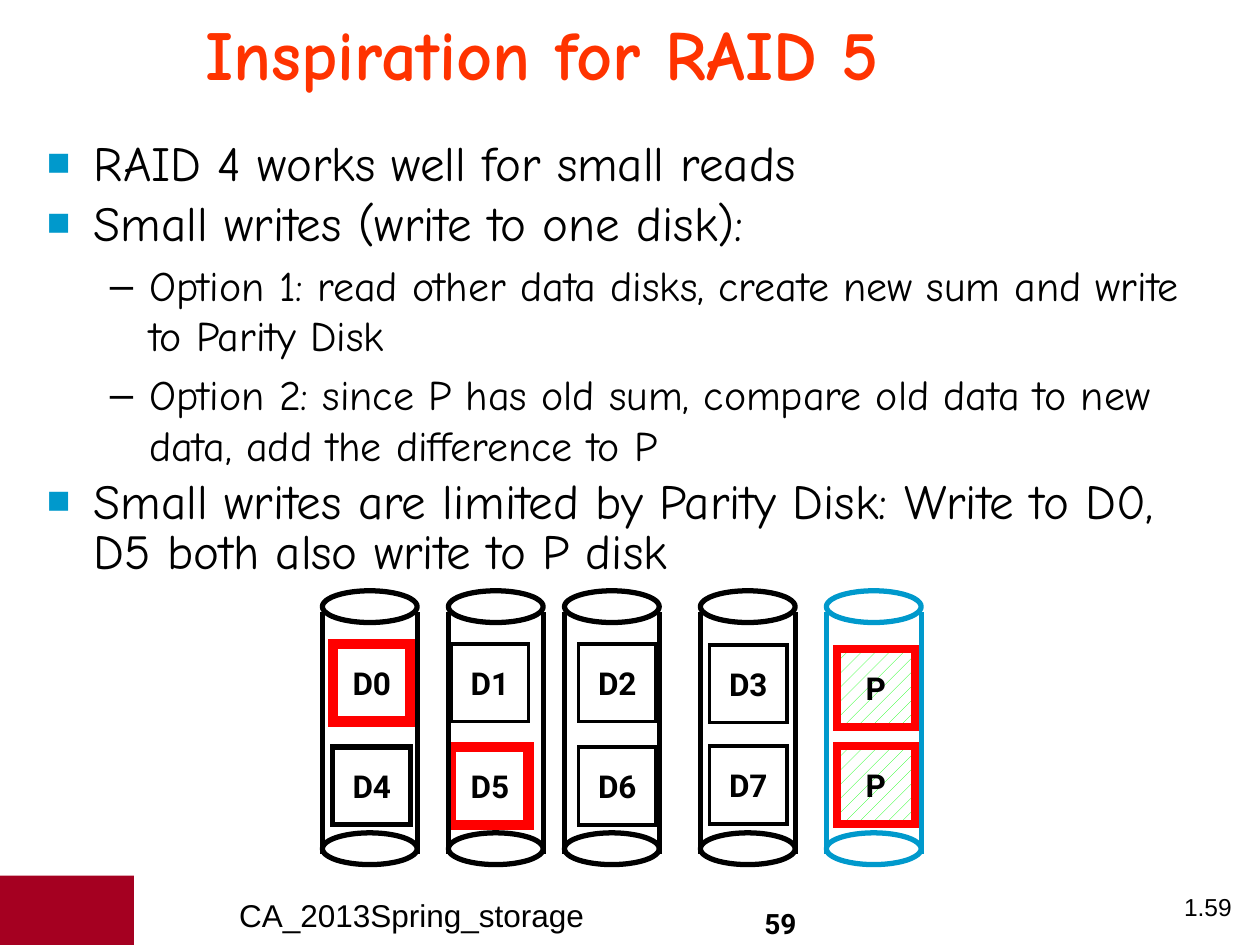
from lxml import etree
from pptx import Presentation
from pptx.dml.color import RGBColor
from pptx.enum.dml import MSO_PATTERN
from pptx.enum.shapes import MSO_CONNECTOR, MSO_SHAPE
from pptx.enum.text import MSO_ANCHOR, MSO_AUTO_SIZE, PP_ALIGN
from pptx.oxml.ns import qn
from pptx.util import Cm, Pt

RECT, OVAL = MSO_SHAPE.RECTANGLE, MSO_SHAPE.OVAL
STRAIGHT = MSO_CONNECTOR.STRAIGHT
LEFT, CENTER = PP_ALIGN.LEFT, PP_ALIGN.CENTER
TOP, MIDDLE = MSO_ANCHOR.TOP, MSO_ANCHOR.MIDDLE

COLORS = {"black": "000000", "white": "FFFFFF", "title": "FF3300",
          "accent": "0099CC", "red": "FF0000", "green": "00FF00",
          "maroon": "A50021"}


def rgb(name):
    return RGBColor.from_string(COLORS[name])


def add_text(tf, text, size=18, font="Roboto", color="black", bold=False,
             align=LEFT, anchor=TOP, wrap=True, new=False):
    tf.word_wrap = wrap
    tf.auto_size = MSO_AUTO_SIZE.NONE
    tf.vertical_anchor = anchor
    p = tf.add_paragraph() if new else tf.paragraphs[0]
    p.alignment = align
    r = p.add_run()
    r.text = text
    r.font.size, r.font.name, r.font.bold = Pt(size), font, bold
    r.font.color.rgb = rgb(color)
    return p


prs = Presentation()
prs.slide_width, prs.slide_height = Cm(25.4), Cm(19.05)
slide = prs.slides.add_slide(prs.slide_layouts[1])
shapes = slide.shapes

# Footer: corner block, course name, page numbers
sp = shapes.add_shape(RECT, 0, Cm(17.65), Cm(2.7), Cm(1.4))
sp.shadow.inherit = False
sp.fill.solid()
sp.fill.fore_color.rgb = rgb("maroon")
sp.line.fill.background()

FOOTER = [
    ("CA_2013Spring_storage", 4.57, 17.93, 9.93, 1.12, dict(font="Arial")),
    ("59", 15.14, 18.16, 1.19, 0.94,
     dict(size=16, bold=True, align=CENTER, wrap=False)),
    ("1.59", 23.62, 17.86, 1.78, 0.99, dict(size=14, font="Arial")),
]
for text, x, y, w, h, fmt in FOOTER:
    sp = shapes.add_textbox(Cm(x), Cm(y), Cm(w), Cm(h))
    add_text(sp.text_frame, text, **fmt)

# Title
title = shapes.title
title.left, title.top, title.width, title.height = Cm(3.89), 0, Cm(20.6), Cm(2.13)
add_text(title.text_frame, "Inspiration for RAID 5", size=40,
         font="Comic Neue", color="title", bold=True, anchor=MIDDLE)

# Bulleted list
body = slide.placeholders[1]
body.left, body.top, body.width, body.height = Cm(0.69), Cm(2.72), Cm(23.57), Cm(9.53)
BULLETS = [
    (0, "RAID 4 works well for small reads"),
    (0, "Small writes (write to one disk):"),
    (1, "Option 1: read other data disks, create new sum and write to Parity Disk"),
    (1, "Option 2: since P has old sum, compare old data to new data, "
        "add the difference to P"),
    (0, "Small writes are limited by Parity Disk: Write to D0, "
        "D5 both also write to P disk"),
]
# Per level: size, line spacing, left margin, hanging indent, bullet
LEVELS = [(28, 0.85, 0.95, 0.95, "■"), (24, 1.0, 2.06, 0.79, "–")]
for i, (level, text) in enumerate(BULLETS):
    size, spacing, margin, hang, char = LEVELS[level]
    p = add_text(body.text_frame, text, size=size, font="Comic Neue", new=i > 0)
    p.level = level
    p.line_spacing = spacing
    p.space_before = Pt(size * 0.2)
    pPr = p._p.get_or_add_pPr()
    pPr.set("marL", str(Cm(margin)))
    pPr.set("indent", str(-Cm(hang)))
    if level == 0:
        clr = etree.SubElement(pPr, qn("a:buClr"))
        etree.SubElement(clr, qn("a:srgbClr"), val=COLORS["accent"])
        etree.SubElement(pPr, qn("a:buSzPct"), val="80000")
    etree.SubElement(pPr, qn("a:buFont"), typeface="Arial")
    etree.SubElement(pPr, qn("a:buChar"), char=char)

# Data blocks: label, left, top, line colour, line width
BLOCK = 1.57
BLOCKS = [
    ("D0", 6.71, 12.98, "red", 6), ("D1", 9.09, 12.98, "black", 2),
    ("D2", 11.66, 12.98, "black", 2), ("D3", 14.3, 13.0, "black", 2),
    ("P", 16.87, 13.08, "red", 4.5),
    ("D4", 6.71, 15.06, "black", 3), ("D5", 9.09, 15.06, "red", 6),
    ("D6", 11.66, 15.06, "black", 2), ("D7", 14.3, 15.04, "black", 2),
    ("P", 16.87, 15.04, "red", 4.5),
]
for label, x, y, color, width in BLOCKS:
    sp = shapes.add_shape(RECT, Cm(x), Cm(y), Cm(BLOCK), Cm(BLOCK))
    sp.shadow.inherit = False
    if label == "P":
        sp.fill.patterned()
        sp.fill.pattern = MSO_PATTERN.PERCENT_10
        sp.fill.fore_color.rgb = rgb("green")
        sp.fill.back_color.rgb = rgb("white")
    else:
        sp.fill.background()
    sp.line.color.rgb = rgb(color)
    sp.line.width = Pt(width)
    ln = sp._element.spPr.find(qn("a:ln"))
    etree.SubElement(ln, qn("a:miter"), lim="800000")
    add_text(sp.text_frame, label, bold=True, align=CENTER, anchor=MIDDLE,
             wrap=False)

# Disks: two ellipses joined by two side lines
DISK_W, DISK_H = 1.91, 0.64
DISKS = [(6.5, "black"), (9.04, "black"), (11.38, "black"),
         (14.12, "black"), (16.66, "accent")]
for x, color in DISKS:
    for y in (11.91, 16.79):
        sp = shapes.add_shape(OVAL, Cm(x), Cm(y), Cm(DISK_W), Cm(DISK_H))
        sp.shadow.inherit = False
        sp.fill.background()
        sp.line.color.rgb = rgb(color)
        sp.line.width = Pt(3)
    for side in (x, x + DISK_W):
        cxn = shapes.add_connector(STRAIGHT, Cm(side), Cm(12.34), Cm(side), Cm(17.22))
        cxn.line.color.rgb = rgb(color)
        cxn.line.width = Pt(3)
        etree.SubElement(cxn._element.spPr, qn("a:effectLst"))

prs.save("out.pptx")
